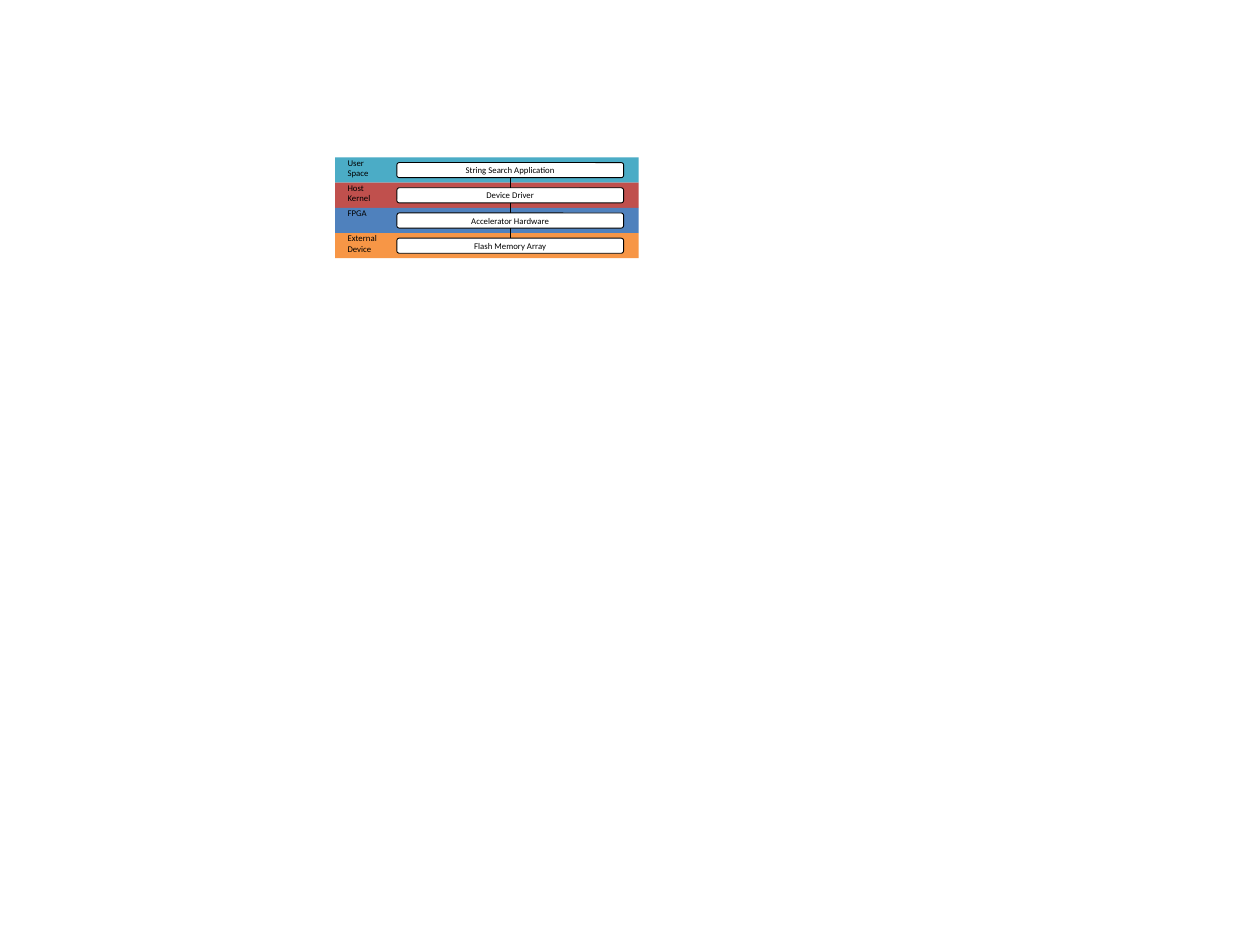
from dataclasses import dataclass
from pptx import Presentation
from pptx import util as u
from pptx.dml.color import RGBColor
from pptx.enum import shapes, text
from pptx.oxml import parse_xml
from pptx.oxml.ns import nsdecls


@dataclass(frozen=True)
class Theme:
    font: str = "Calibri"
    size: float = 5
    line_width: float = 0.5
    ink: str = "000000"
    paper: str = "FFFFFF"
    user: str = "4BACC6"
    kernel: str = "C0504D"
    fpga: str = "4F81BD"
    external: str = "F79646"


THEME = Theme()
LAYERS = [
    (["User", "Space"], "String Search Application", THEME.user),
    (["Host", "Kernel"], "Device Driver", THEME.kernel),
    (["FPGA"], "Accelerator Hardware", THEME.fpga),
    (["External", "Device"], "Flash Memory Array", THEME.external),
]
COMPONENT_LEFT, COMPONENT_TOP = 0.49, 0.04
COMPONENT_WIDTH, COMPONENT_HEIGHT = 1.8, 0.12


def color(code):
    return RGBColor.from_string(code)


def add_box(slide, preset, box, fill, lines, align, anchor):
    shape = slide.shapes.add_shape(preset, *map(u.Inches, box))
    shape.shadow.inherit = False
    shape.fill.solid()
    shape.fill.fore_color.rgb = color(fill)
    frame = shape.text_frame
    frame.margin_top = frame.margin_bottom = 0
    frame.vertical_anchor = anchor
    frame.text = "\n".join(lines)
    for paragraph in frame.paragraphs:
        paragraph.alignment = align
        for run in paragraph.runs:
            run.font.name = THEME.font
            run.font.size = u.Pt(THEME.size)
            run.font.color.rgb = color(THEME.ink)
    return shape


def outline(line):
    line.color.rgb = color(THEME.ink)
    line.width = u.Pt(THEME.line_width)


def add_layer(slide, box, label, component_name, fill):
    left, top, _, _ = box
    band = add_box(slide, shapes.MSO_SHAPE.RECTANGLE, box, fill, label,
                   text.PP_ALIGN.LEFT, text.MSO_ANCHOR.TOP)
    band.line.fill.background()
    component_box = (left + COMPONENT_LEFT, top + COMPONENT_TOP,
                     COMPONENT_WIDTH, COMPONENT_HEIGHT)
    component = add_box(slide, shapes.MSO_SHAPE.ROUNDED_RECTANGLE, component_box,
                        THEME.paper, [component_name],
                        text.PP_ALIGN.CENTER, text.MSO_ANCHOR.MIDDLE)
    outline(component.line)
    return component


def add_link(slide, upper, lower):
    link = slide.shapes.add_connector(shapes.MSO_CONNECTOR.STRAIGHT, 0, 0, 0, 0)
    link.begin_connect(upper, 2)
    link.end_connect(lower, 0)
    outline(link.line)
    link._element.spPr.append(parse_xml(f"<a:effectLst {nsdecls('a')}/>"))


def add_stack(slide, box):
    left, top, width, height = box
    band_height = height / len(LAYERS)
    components = [
        add_layer(slide, (left, top + i * band_height, width, band_height), *layer)
        for i, layer in enumerate(LAYERS)
    ]
    for upper, lower in zip(components, components[1:]):
        add_link(slide, upper, lower)


deck = Presentation()
deck.slide_width, deck.slide_height = u.Inches(10), u.Inches(7.5)
stack_slide = deck.slides.add_slide(deck.slide_layouts[6])
add_stack(stack_slide, (2.66, 1.25, 2.41, 0.8))
deck.save("out.pptx")
